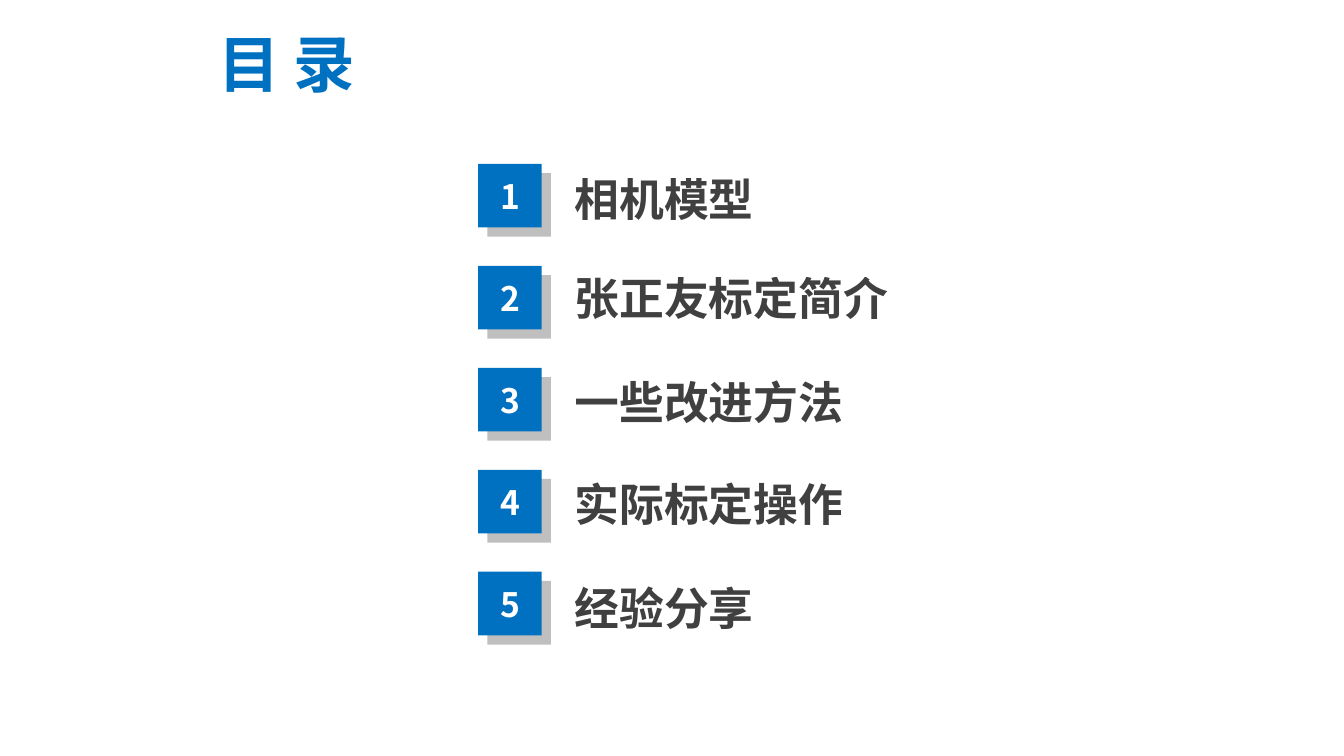
"""Build the contents slide of a camera calibration talk."""
from lxml.etree import SubElement
from pptx import Presentation
from pptx.dml.color import RGBColor
from pptx.enum.shapes import MSO_SHAPE as Preset
from pptx.enum.text import MSO_ANCHOR as Anchor, MSO_AUTO_SIZE as AutoSize, PP_ALIGN as Align
from pptx.oxml.ns import qn
from pptx.util import Pt

FONT = "Noto Sans CJK SC"
BLUE, WHITE, BLACK = "0070C0", "FFFFFF", "000000"
TOPICS = [("相机模型", 32.2), ("张正友标定简介", 35.8), ("一些改进方法", 34.3),
          ("实际标定操作", 35.8), ("经验分享", 0)]
BADGE_LEFT, BADGE_TOP, BADGE_SIZE = 341.5, 117, 45.5
ROW_PITCH, SHADOW_OFFSET = 72.85, 6.6


def apply_format(target, values):
    """Set each named attribute of the target."""
    for name, value in values.items():
        setattr(target, name, value)


def paint(fill, color, opacity=100):
    """Give a fill a solid colour with the given opacity in percent."""
    fill.solid()
    fill.fore_color.rgb = RGBColor.from_string(color)
    if opacity < 100:
        color_node = next(fill._xPr.iter(qn("a:srgbClr")))
        SubElement(color_node, qn("a:alpha"), val=str(opacity * 1000))


def write(paragraph, text, size, color, opacity=100, **layout):
    """Write one bold run and set the paragraph layout."""
    apply_format(paragraph, layout)
    run = paragraph.add_run()
    run.text = text
    apply_format(run.font, {"name": FONT, "size": Pt(size), "bold": True})
    paint(run.font.fill, color, opacity)
    SubElement(run.font._element, qn("a:ea"), typeface=FONT)


def place(placeholder, left, top, width, height, anchor):
    """Move a placeholder and return its text frame."""
    apply_format(placeholder, {"left": Pt(left), "top": Pt(top),
                               "width": Pt(width), "height": Pt(height)})
    frame = placeholder.text_frame
    apply_format(frame, {"auto_size": AutoSize.NONE, "word_wrap": True,
                         "vertical_anchor": anchor})
    return frame


def add_square(slide, left, top, color, opacity=100):
    """Add a borderless badge square."""
    square = slide.shapes.add_shape(Preset.RECTANGLE, Pt(left), Pt(top),
                                    Pt(BADGE_SIZE), Pt(BADGE_SIZE))
    square.shadow.inherit = False
    square.line.fill.background()
    paint(square.fill, color, opacity)
    return square


def add_badge(slide, number):
    """Add a numbered square over its offset shadow."""
    top = BADGE_TOP + (number - 1) * ROW_PITCH
    add_square(slide, BADGE_LEFT + SHADOW_OFFSET, top + SHADOW_OFFSET, BLACK, 25)
    frame = add_square(slide, BADGE_LEFT, top, BLUE).text_frame
    frame.vertical_anchor = Anchor.MIDDLE
    write(frame.paragraphs[0], str(number), 24, WHITE, alignment=Align.CENTER)


def add_topics(placeholder):
    """Fill the body with one unbulleted line per topic."""
    frame = place(placeholder, 403.2, 119.3, 309, 346, Anchor.TOP)
    for index, (topic, gap) in enumerate(TOPICS):
        paragraph = frame.add_paragraph() if index else frame.paragraphs[0]
        write(paragraph, topic, 32, BLACK, 75, alignment=Align.LEFT,
              space_before=Pt(0), space_after=Pt(gap))
        properties = paragraph._p.get_or_add_pPr()
        properties.set("marL", "0")
        properties.set("indent", "0")
        SubElement(properties, qn("a:buNone"))


def main():
    """Build and save the slide."""
    deck = Presentation()
    apply_format(deck, {"slide_width": Pt(960), "slide_height": Pt(540)})
    slide = deck.slides.add_slide(deck.slide_layouts[1])
    title = place(slide.shapes.title, 128.5, 14.8, 152.6, 60.5, Anchor.MIDDLE)
    write(title.paragraphs[0], "目 录", 44, BLUE, alignment=Align.CENTER)
    add_topics(slide.placeholders[1])
    for number in range(1, len(TOPICS) + 1):
        add_badge(slide, number)
    deck.save("out.pptx")


if __name__ == "__main__":
    main()
